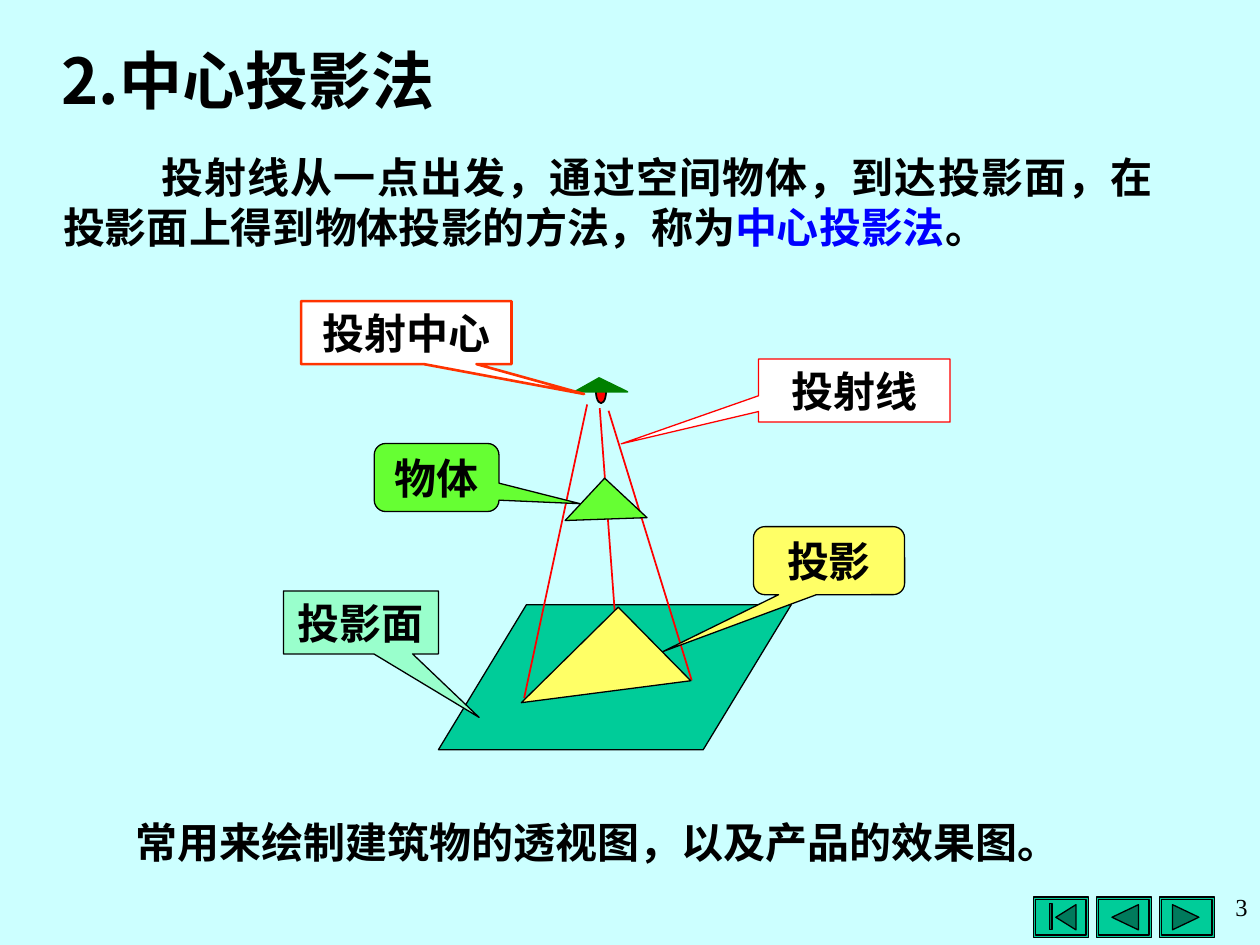
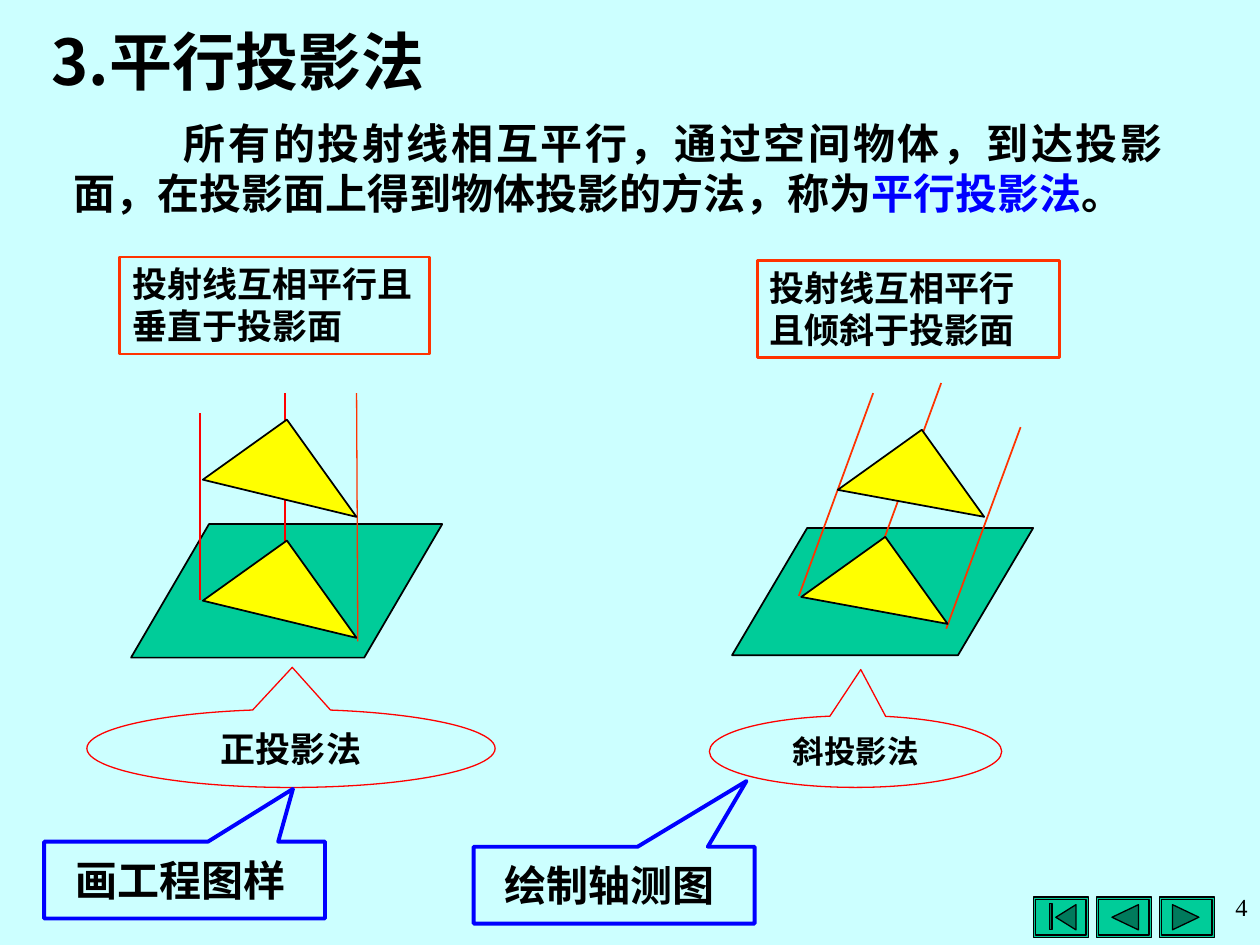
import dataclasses

import lxml.etree
import pptx
import pptx.dml.color
import pptx.enum.shapes
import pptx.enum.text
import pptx.oxml.ns
import pptx.util

Inches = pptx.util.Inches
SHAPE = pptx.enum.shapes.MSO_SHAPE
ALIGN = pptx.enum.text.PP_ALIGN
ANCHOR = pptx.enum.text.MSO_ANCHOR
qn = pptx.oxml.ns.qn


@dataclasses.dataclass(frozen=True)
class Theme:
    background: str = "CCFFFF"
    ink: str = "000000"
    term: str = "0000FF"
    plane: str = "00CC99"
    icon: str = "007A5C"
    ray: str = "FF0000"
    orange: str = "FF3300"
    white: str = "FFFFFF"
    lamp: str = "008000"
    solid: str = "66FF33"
    image: str = "FFFF66"
    yellow: str = "FFFF00"
    mint: str = "99FFCC"
    font: str = "Times New Roman"
    chinese_font: str = "Noto Sans CJK SC"
    title_size: int = 36
    body_size: int = 24
    note_size: int = 20
    small_size: int = 18
    number_size: int = 14
    line_pitch: float = 1.19


theme = Theme()


def write(frame, spans, size, align, anchor=ANCHOR.MIDDLE, bold=True, indent=0):
    """Fill a text frame with one paragraph of (text, colour, font) spans."""
    frame_format = {"word_wrap": True, "vertical_anchor": anchor,
                    "auto_size": pptx.enum.text.MSO_AUTO_SIZE.NONE,
                    "margin_left": Inches(0.1), "margin_right": Inches(0.1),
                    "margin_top": Inches(0.05), "margin_bottom": Inches(0.05)}
    for name, value in frame_format.items():
        setattr(frame, name, value)
    para = frame.paragraphs[0]
    properties = para._p.get_or_add_pPr()
    properties.set("marL", "0")
    properties.set("indent", str(Inches(indent)))
    properties.set("hangingPunct", "0")
    lxml.etree.SubElement(properties, qn("a:buNone"))
    para.alignment = align
    para.space_before = pptx.util.Pt(0)
    if size < theme.title_size:
        para.line_spacing = pptx.util.Pt(size * theme.line_pitch)
    for text, color, font in spans:
        span = para.add_run()
        span.text = text
        font_format = {"size": pptx.util.Pt(size), "bold": bold, "name": font}
        for name, value in font_format.items():
            setattr(span.font, name, value)
        span.font.color.rgb = pptx.dml.color.RGBColor.from_string(color)
        east_asian = lxml.etree.SubElement(span._r.get_or_add_rPr(), qn("a:ea"))
        east_asian.set("typeface", theme.chinese_font)


def draw(page, kind, place, fill, line=theme.ink, width=0.75, rotation=0, adjust=()):
    """Add a preset shape; a fill of None leaves it open."""
    shape = page.shapes.add_shape(kind, *map(Inches, place))
    shape.shadow.inherit = False
    shape.rotation = rotation
    for position, value in enumerate(adjust):
        shape.adjustments[position] = value
    if fill is None:
        shape.fill.background()
    else:
        shape.fill.solid()
        shape.fill.fore_color.rgb = pptx.dml.color.RGBColor.from_string(fill)
    shape.line.color.rgb = pptx.dml.color.RGBColor.from_string(line)
    shape.line.width = pptx.util.Pt(width)
    return shape


deck = pptx.Presentation()
deck.slide_width = Inches(10)
deck.slide_height = Inches(7.5)
background = deck.slide_master.background.fill
background.solid()
background.fore_color.rgb = pptx.dml.color.RGBColor.from_string(theme.background)

# Titles, definitions, navigation buttons and page numbers
contents = [
    ("2.", "中心投影法", (0.39, 0.28, 4.17, 0.7), (0.4, 1.15, 8.85, 0.9), 0.78,
     "投射线从一点出发，通过空间物体，到达投影面，在投影面上得到物体投影的方法，称为", "3"),
    ("3.", "平行投影法", (0.31, 0.13, 3.92, 0.7), (0.48, 0.88, 8.85, 0.9), 0.88,
     "所有的投射线相互平行，通过空间物体，到达投影面，在投影面上得到物体投影的方法，称为", "4"),
]
button_icons = [(8.46, 0.16, 270), (8.93, 0.21, 270), (9.41, 0.21, 90)]
pages = []
for number, method, title_place, body_place, indent, definition, page_number in contents:
    page = deck.slides.add_slide(deck.slide_layouts[1])
    pages.append(page)
    title, body = page.placeholders
    for box, place in ((title, title_place), (body, body_place)):
        box.left, box.top, box.width, box.height = map(Inches, place)
    write(title.text_frame, [(number, theme.ink, theme.chinese_font),
                             (method, theme.ink, theme.font)],
          theme.title_size, ALIGN.LEFT)
    write(body.text_frame, [(definition, theme.ink, theme.font),
                            (method, theme.term, theme.font),
                            ("。", theme.ink, theme.font)],
          theme.body_size, ALIGN.JUSTIFY, indent=indent)

    for index, (center, depth, rotation) in enumerate(button_icons):
        left = 8.2 + 0.5 * index
        for inset in (0, 0.02):
            draw(page, SHAPE.RECTANGLE,
                 (left + inset, 7.12 + inset, 0.44 - 2 * inset, 0.32 - 2 * inset),
                 theme.plane)
        draw(page, SHAPE.ISOSCELES_TRIANGLE,
             (center - 0.1, 7.28 - depth / 2, 0.2, depth), theme.icon, rotation=rotation)
    draw(page, SHAPE.RECTANGLE, (8.33, 7.17, 0.02, 0.21), theme.icon)

    box = page.shapes.add_textbox(*map(Inches, (7.48, 7.03, 2.52, 0.61)))
    write(box.text_frame, [(page_number, theme.ink, theme.font)],
          theme.number_size, ALIGN.RIGHT, ANCHOR.TOP, bold=False)

central, parallel = pages

# Lamp at the projection centre
draw(central, SHAPE.OVAL, (4.73, 3.02, 0.08, 0.18), theme.ray, width=1)
draw(central, SHAPE.ISOSCELES_TRIANGLE, (4.56, 3, 0.42, 0.11), theme.lamp,
     theme.lamp, 1, adjust=[0.463])

# Projection planes
planes = [
    (central, (3.48, 4.8, 2.8, 1.15), 0.75, 0.607),
    (parallel, (1.04, 4.16, 2.47, 1.06), 1, 0.584),
    (parallel, (5.81, 4.19, 2.39, 1.01), 1, 0.591),
]
for page, place, width, slant in planes:
    draw(page, SHAPE.PARALLELOGRAM, place, theme.plane, width=width, adjust=[slant])

# Projection rays
rays = [
    (central, theme.ray, 1, (4.16, 5.54, 4.66, 3.21)),
    (central, theme.ray, 1, (5.49, 5.4, 4.83, 3.26)),
    (central, theme.ray, 1, (4.92, 5.41, 4.76, 3.24)),
    (parallel, theme.ray, 1, (2.26, 4.84, 2.26, 3.12)),
    (parallel, theme.orange, 0.75, (2.84, 5.09, 2.83, 3.12)),
    (parallel, theme.ray, 1, (1.59, 4.76, 1.59, 3.28)),
    (parallel, theme.orange, 1, (7.51, 4.99, 8.1, 3.39)),
    (parallel, theme.orange, 1, (6.88, 4.65, 7.47, 3.04)),
    (parallel, theme.orange, 1, (6.34, 4.73, 6.93, 3.12)),
]
for page, color, width, ends in rays:
    ray = page.shapes.add_connector(pptx.enum.shapes.MSO_CONNECTOR.STRAIGHT,
                                    *map(Inches, ends))
    ray.line.color.rgb = pptx.dml.color.RGBColor.from_string(color)
    ray.line.width = pptx.util.Pt(width)
    lxml.etree.SubElement(ray._element.spPr, qn("a:effectLst"))

# Objects and their projections
triangles = [
    (central, (4.27, 5.08, 1.08, 0.82), theme.image, 0.75, 135.4),
    (central, (4.58, 3.89, 0.46, 0.46), theme.solid, 0.75, 133),
    (parallel, (1.81, 3.48, 0.82, 0.95), theme.yellow, 1, 144.4),
    (parallel, (1.81, 4.44, 0.82, 0.95), theme.yellow, 1, 144.4),
    (parallel, (6.53, 4.42, 0.82, 0.85), theme.yellow, 1, 144.4),
    (parallel, (6.82, 3.57, 0.82, 0.85), theme.yellow, 1, 144.4),
]
for page, place, fill, width, rotation in triangles:
    draw(page, SHAPE.RIGHT_TRIANGLE, place, fill, width=width, rotation=rotation)

# Callouts with labels; the last value is extra space right of the label
square, rounded, ellipse = (SHAPE.RECTANGULAR_CALLOUT, SHAPE.ROUNDED_RECTANGULAR_CALLOUT,
                            SHAPE.OVAL_CALLOUT)
callouts = [
    (central, square, (6.02, 2.85, 1.52, 0.5), theme.white, theme.ray, 0.75,
     (-1.217, 0.846), "投射线", theme.body_size, 0),
    (central, square, (2.39, 2.39, 1.67, 0.5), theme.white, theme.orange, 1.5,
     (0.845, 0.975), "投射中心", theme.body_size, 0),
    (central, rounded, (2.97, 3.52, 0.99, 0.54), theme.solid, theme.ink, 0.75,
     (1.151, 0.385, 0.167), "物体", theme.body_size, 0),
    (central, square, (2.25, 4.69, 1.23, 0.5), theme.mint, theme.ink, 0.75,
     (0.763, 1.508), "投影面", theme.body_size, 0),
    (central, rounded, (5.98, 4.18, 1.2, 0.54), theme.image, theme.ink, 0.75,
     (-1.1, 1.337, 0.167), "投影", theme.body_size, 0),
    (parallel, ellipse, (5.63, 5.68, 2.32, 0.57), None, theme.ray, 0.75,
     (0.018, -1.142), "斜投影法", theme.small_size, 0),
    (parallel, ellipse, (0.69, 5.63, 3.24, 0.62), None, theme.ray, 0.75,
     (0.003, -1.038), "正投影法", theme.note_size, 0),
    (parallel, square, (0.35, 6.68, 2.23, 0.61), None, theme.term, 2.25,
     (0.386, -1.187), "画工程图样", theme.body_size, 0.07),
    (parallel, square, (3.76, 6.72, 2.23, 0.61), None, theme.term, 2.25,
     (0.471, -1.355), "绘制轴测图", theme.body_size, 0.07),
]
for page, kind, place, fill, line, width, tip, label, size, extra in callouts:
    box = draw(page, kind, place, fill, line, width, adjust=tip)
    write(box.text_frame, [(label, theme.ink, theme.font)], size, ALIGN.CENTER)
    box.text_frame.margin_right = Inches(0.1 + extra)

# Framed conditions of the two parallel methods
conditions = [
    ((0.95, 2.04, 2.46, 0.77), "投射线互相平行且垂直于投影面"),
    ((6.01, 2.07, 2.4, 0.77), "投射线互相平行且倾斜于投影面"),
]
for place, condition in conditions:
    box = draw(parallel, SHAPE.RECTANGLE, place, None, theme.orange, 1.5)
    write(box.text_frame, [(condition, theme.ink, theme.font)],
          theme.note_size, ALIGN.LEFT, ANCHOR.TOP)

# Use of central projection
box = central.shapes.add_textbox(*map(Inches, (0.98, 6.43, 7.64, 0.5)))
write(box.text_frame, [("常用来绘制建筑物的透视图，以及产品的效果图。", theme.ink, theme.font)],
      theme.body_size, ALIGN.JUSTIFY)

deck.save("out.pptx")
